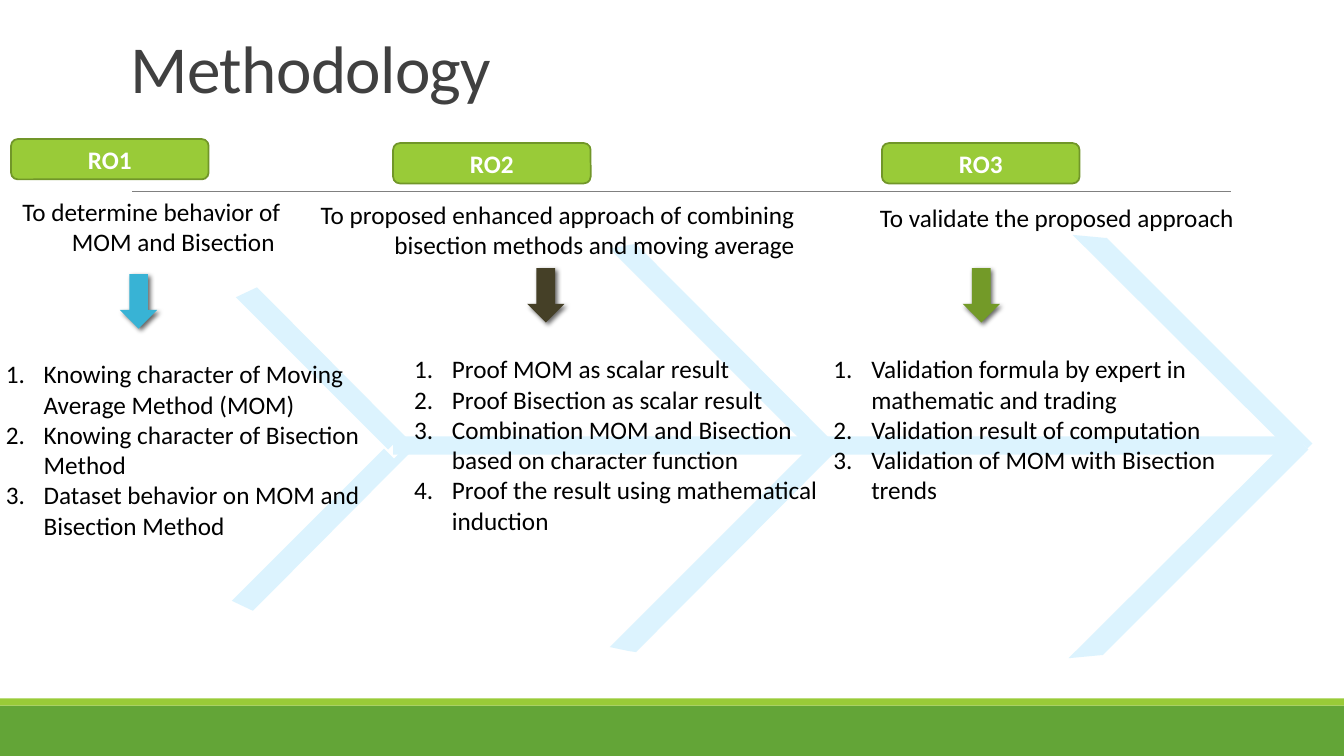
from lxml.etree import SubElement
from pptx import Presentation
from pptx.dml.color import RGBColor
from pptx.enum.shapes import MSO_CONNECTOR, MSO_SHAPE
from pptx.enum.text import MSO_ANCHOR, PP_ALIGN
from pptx.oxml.ns import qn
from pptx.util import Emu, Inches, Pt

# Content: lengths are cells of a square grid, 75 rows high
TITLE = "Methodology"
OBJECTIVES = [
    {"label": "RO1", "label_at": (1.1, 13.8),
     "goal": "To determine behavior of MOM and Bisection ",
     "goal_at": (-2.7, 19, 31.5, 7.1),
     "arrow_at": (11.9, 27.2), "arrow_fill": "38B3D5",
     "steps": ["Knowing character of Moving Average Method (MOM)",
               "Knowing character of Bisection Method",
               "Dataset behavior on MOM and Bisection Method"],
     "steps_at": (-0.4, 35.1, 42.3, 19.2)},
    {"label": "RO2", "label_at": (39, 14.2),
     "goal": "To proposed enhanced approach of combining bisection methods and moving average",
     "goal_at": (28.4, 19.3, 51.4, 7.1),
     "arrow_at": (52.3, 26.6), "arrow_fill": "454027",
     "steps": ["Proof MOM as scalar result",
               "Proof Bisection as scalar result",
               "Combination MOM and Bisection based on character function",
               "Proof the result using mathematical induction"],
     "steps_at": (40.1, 34.6, 42.3, 19.2)},
    {"label": "RO3", "label_at": (87.5, 14.2),
     "goal": "To validate the proposed approach",
     "goal_at": (85.8, 19.6, 37.6, 4),
     "arrow_at": (95.5, 26.6), "arrow_fill": "739A28",
     "steps": ["Validation formula by expert in mathematic and trading",
               "Validation result of computation",
               "Validation of MOM with Bisection trends"],
     "steps_at": (81.7, 34.6, 42.3, 16.2)},
]

# Fishbone: rib tip, mirror axis, shift of the lower rib, tail offsets from the tip
RIBS = [
    ((83.1, 44.3), 44.45, 0, [(-20, -20.1), (-20.7, -20), (-22.6, -19.6)]),
    ((41, 44.1), 44.55, -0.4, [(-15.5, -15.6), (-17.4, -14.7), (-17.6, -14.6)]),
    ((130.2, 44), 44.3, -0.4, [(-20.4, -20.4), (-20.6, -20.4), (-23.8, -20.7)]),
]
NOTCH = [(-2.5, 0.5), (-1.5, -0.5), (-0.5, 0.5)]
SPINE = (39, 43.3, 90.3, 1.8)
BONE, GREEN, DARK_GREEN = "DCF3FE", "99CB38", "63A537"

prs = Presentation()
prs.slide_width, prs.slide_height = Inches(13.333), Inches(7.5)
CELL = prs.slide_height / 75
COLS = prs.slide_width / CELL
s = prs.slides.add_slide(prs.slide_layouts[6])


def grid(*cells):
    return [Emu(round(c * CELL)) for c in cells]


def rgb(value):
    return RGBColor.from_string(value)


def add_shape(kind, at, fill, line=None):
    sp = s.shapes.add_shape(kind, *grid(*at))
    return paint(sp, fill, line)


def paint(sp, fill, line=None):
    sp.shadow.inherit = False
    sp.fill.solid()
    sp.fill.fore_color.rgb = rgb(fill)
    if line:
        sp.line.color.rgb = rgb(line)
        sp.line.width = Pt(1.25)
    else:
        sp.line.fill.background()
    return sp


def write(sp, lines, size=18, color="000000", bold=False,
          align=PP_ALIGN.LEFT, anchor=MSO_ANCHOR.TOP):
    tf = sp.text_frame
    tf.text = "\n".join(lines)
    tf.word_wrap = True
    tf.vertical_anchor = anchor
    for p in tf.paragraphs:
        p.alignment = align
        for r in p.runs:
            r.font.name, r.font.size, r.font.bold = "Calibri", Pt(size), bold
            r.font.color.rgb = rgb(color)
    return tf


def add_text(at, lines, **style):
    return write(s.shapes.add_textbox(*grid(*at)), lines, **style)


def number(p):
    pPr = p._p.get_or_add_pPr()
    pPr.set("marL", "342900")
    pPr.set("indent", "-342900")
    SubElement(pPr, qn("a:buAutoNum"), type="arabicPeriod")


def cast_shadow(sp):
    effects = sp._element.spPr.find(qn("a:effectLst"))
    shadow = SubElement(effects, qn("a:outerShdw"), blurRad=str(Pt(3.5)),
                        dist=str(Pt(2)), dir="2700000", rotWithShape="0")
    color = SubElement(shadow, qn("a:srgbClr"), val="000000")
    SubElement(color, qn("a:alpha"), val="60000")


def add_bone(points):
    points = [grid(*pt) for pt in points]
    builder = s.shapes.build_freeform(*points[0])
    builder.add_line_segments(points[1:], close=True)
    paint(builder.convert_to_shape(), BONE)


# Footer bands and title rule
add_shape(MSO_SHAPE.RECTANGLE, (0, 70, COLS, 5), DARK_GREEN)
add_shape(MSO_SHAPE.RECTANGLE, (0, 69.3, COLS, 0.7), GREEN)
rule = s.shapes.add_connector(MSO_CONNECTOR.STRAIGHT, *grid(13.1, 19, 122.1, 19))
rule.line.color.rgb = rgb("808080")
rule.line.width = Pt(0.5)
SubElement(rule._element.spPr, qn("a:effectLst"))

# Title
tf = add_text((12, 3.1, 110, 8), [TITLE], size=48, color="404040",
              anchor=MSO_ANCHOR.BOTTOM)
p = tf.paragraphs[0]
p.line_spacing = 0.85
p.runs[0].font._element.set("spc", "-50")

# Fishbone behind the text
for (tip_x, tip_y), axis, shift, tail in RIBS:
    upper = [(tip_x + dx, tip_y + dy) for dx, dy in [(0, 0)] + tail + NOTCH]
    add_bone(upper)
    add_bone([(x + shift, 2 * axis - y) for x, y in upper])
add_shape(MSO_SHAPE.RECTANGLE, SPINE, BONE)

# One column per research objective
for ro in OBJECTIVES:
    label = add_shape(MSO_SHAPE.ROUNDED_RECTANGLE, (*ro["label_at"], 19.6, 4),
                      GREEN, "719629")
    write(label, [ro["label"]], color="FFFFFF", bold=True,
          align=PP_ALIGN.CENTER, anchor=MSO_ANCHOR.MIDDLE)
    add_text(ro["goal_at"], [ro["goal"]], align=PP_ALIGN.RIGHT)
    cast_shadow(add_shape(MSO_SHAPE.DOWN_ARROW, (*ro["arrow_at"], 3.7, 5.4),
                          ro["arrow_fill"]))
    for p in add_text(ro["steps_at"], ro["steps"]).paragraphs:
        number(p)

prs.save("out.pptx")
